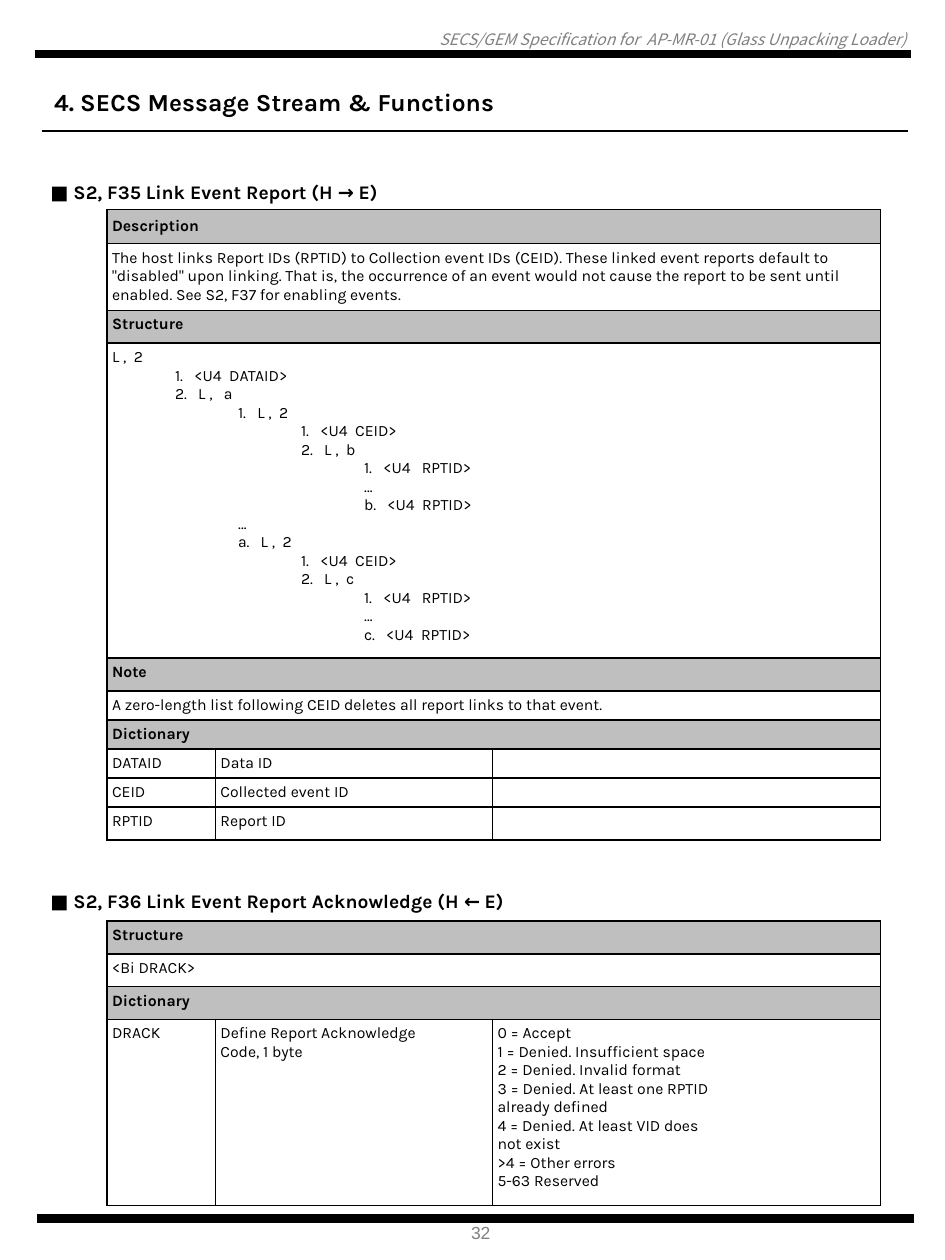
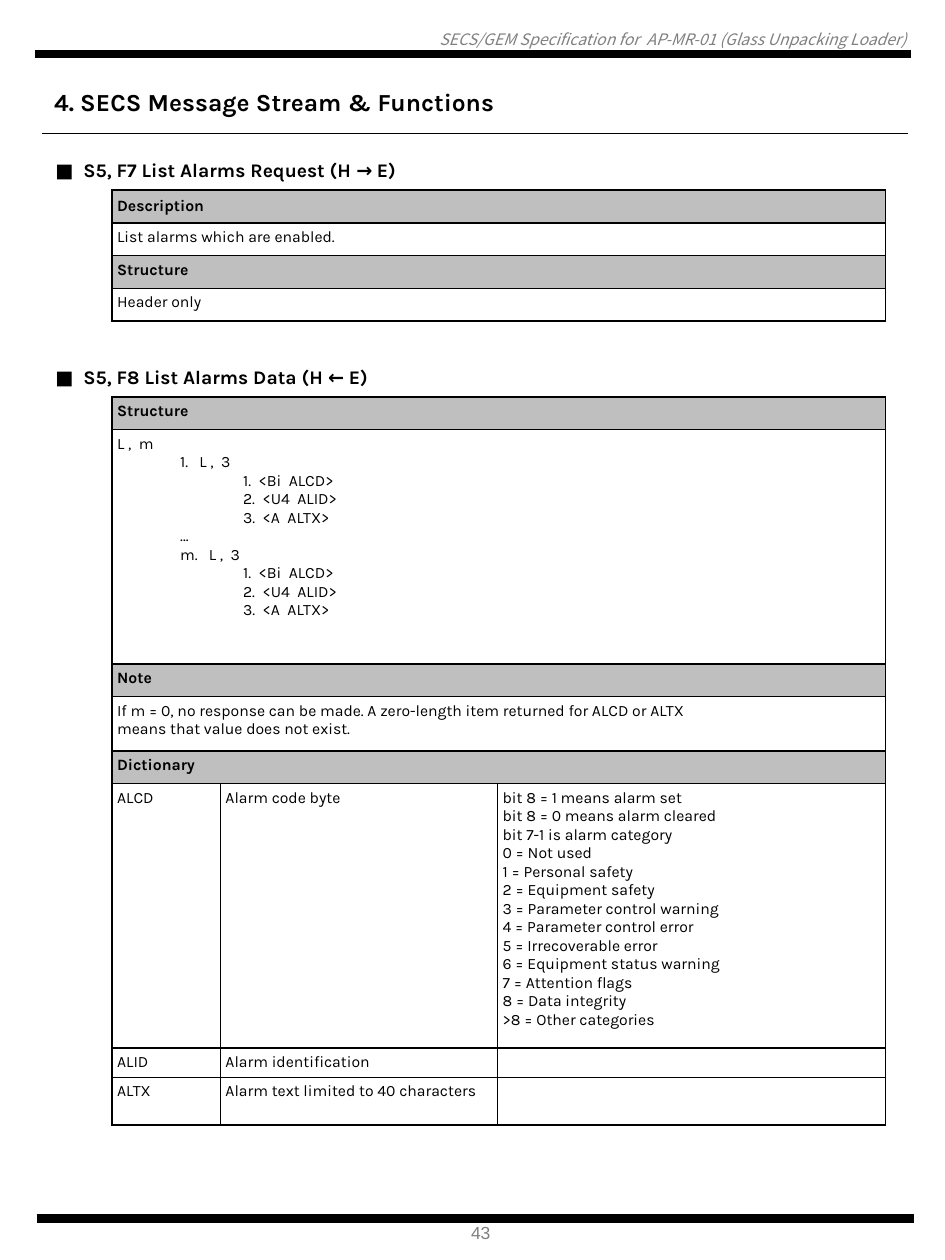
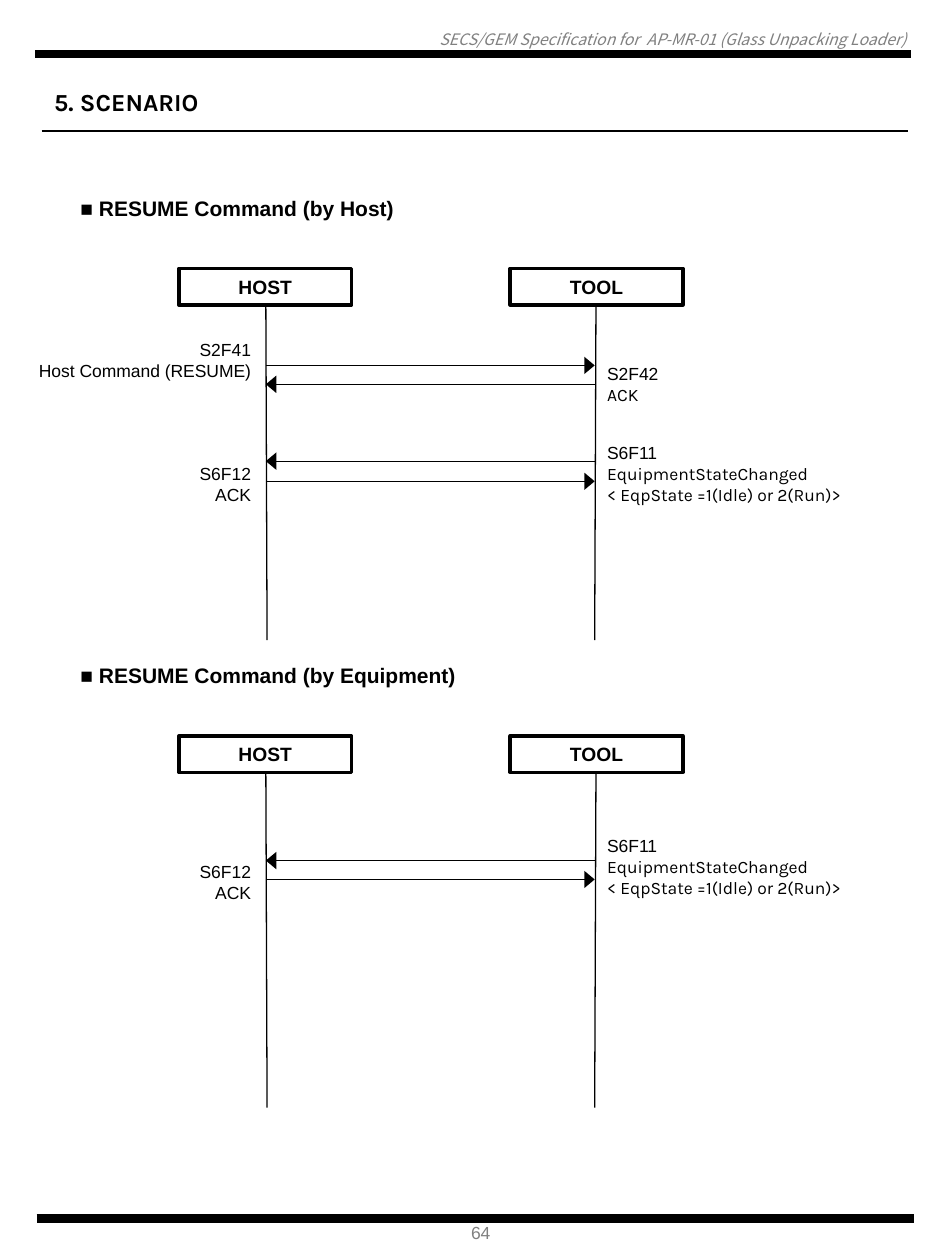
from lxml import etree
from pptx import Presentation
from pptx import util as u
from pptx.dml.color import RGBColor
from pptx.enum import shapes, text
from pptx.oxml.ns import qn

# Shared look
BLACK, GREY, BAND, WHITE = "000000", "808080", "BFBFBF", "FFFFFF"
HEADER = "SECS/GEM Specification for  AP-MR-01 (Glass Unpacking Loader)"
PLAIN = "{2D5ABB26-0587-4C30-8999-92F81FD0307C}"
TOP, MID = text.MSO_ANCHOR.TOP, text.MSO_ANCHOR.MIDDLE
LEFT, CENTER, RIGHT = text.PP_ALIGN.LEFT, text.PP_ALIGN.CENTER, text.PP_ALIGN.RIGHT
BANDS = ("Description", "Structure", "Note", "Dictionary")
WIDE, SLIM = (0.49, 0.86, 2.2, 3.08), (0.49, 6.14)

# Message tables: rows are (height, cell, ...), a lone cell fills the row
LINK = [
    (0.27, "Description"),
    (0.53, "The host links Report IDs (RPTID) to Collection event IDs (CEID). "
           "These linked event reports default to \"disabled\" upon linking. "
           "That is, the occurrence of an event would not cause the report to be "
           "sent until enabled. See S2, F37 for enabling events."),
    (0.26, "Structure"),
    (2.5, """L ,  2
\t1.   <U4  DATAID>
\t2.   L ,   a
\t\t1.   L ,  2
\t\t\t1.   <U4  CEID>
\t\t\t2.   L ,  b
\t\t\t\t1.   <U4   RPTID>
\t\t\t\t…
\t\t\t\tb.   <U4  RPTID>
\t\t…
\t\ta.   L ,  2
\t\t\t1.   <U4  CEID>
\t\t\t2.   L ,  c
\t\t\t\t1.   <U4   RPTID>
\t\t\t\t…
\t\t\t\tc.   <U4  RPTID>"""),
    (0.26, "Note"),
    (0.23, "A zero-length list following CEID deletes all report links to that event."),
    (0.23, "Dictionary"),
    (0.23, "DATAID", "Data ID", ""),
    (0.23, "CEID", "Collected event ID", ""),
    (0.26, "RPTID", "Report ID", ""),
]
LINK_ACK = [
    (0.26, "Structure"),
    (0.26, "<Bi DRACK>"),
    (0.26, "Dictionary"),
    (1.48, "DRACK", "Define Report Acknowledge\nCode, 1 byte", """0 = Accept
1 = Denied. Insufficient space
2 = Denied. Invalid format
3 = Denied. At least one RPTID
already defined
4 = Denied. At least VID does
not exist
>4 = Other errors
5-63 Reserved"""),
]
ALARM_ASK = [
    (0.26, "Description"),
    (0.26, "List alarms which are enabled."),
    (0.26, "Structure"),
    (0.26, "Header only"),
]
ALARM_DATA = [
    (0.26, "Structure"),
    (1.86, """L ,  m
\t1.   L ,  3
\t\t1.  <Bi  ALCD>
\t\t2.  <U4  ALID>
\t\t3.  <A  ALTX>
\t…
\tm.   L ,  3
\t\t1.  <Bi  ALCD>
\t\t2.  <U4  ALID>
\t\t3.  <A  ALTX>"""),
    (0.26, "Note"),
    (0.43, "If m = 0, no response can be made. A zero-length item returned for "
           "ALCD or ALTX\nmeans that value does not exist."),
    (0.26, "Dictionary"),
    (2.1, "ALCD", "Alarm code byte", """bit 8 = 1 means alarm set
bit 8 = 0 means alarm cleared
bit 7-1 is alarm category
0 = Not used
1 = Personal safety
2 = Equipment safety
3 = Parameter control warning
4 = Parameter control error
5 = Irrecoverable error
6 = Equipment status warning
7 = Attention flags
8 = Data integrity
>8 = Other categories"""),
    (0.23, "ALID", "Alarm identification", ""),
    (0.38, "ALTX", "Alarm text limited to 40 characters", ""),
]
# left, top, heading, heading height, columns, merged gutter rows, rows
LINK_PAGE = [
    (0.36, 1.4, "■ S2, F35 Link Event Report (H → E)", 0.25, WIDE, (6, 9), LINK),
    (0.36, 7.01, "■ S2, F36 Link Event Report Acknowledge (H ← E)", 0.3, WIDE, (3, 4), LINK_ACK),
]
ALARM_PAGE = [
    (0.4, 1.21, "■  S5, F7 List Alarms Request (H → E)", 0.3, SLIM, None, ALARM_ASK),
    (0.4, 2.85, "■  S5, F8 List Alarms Data (H ← E)", 0.3, WIDE, (4, 7), ALARM_DATA),
]

# Scenarios: heights are measured from the top of each heading
STATE = "S6F11\nEquipmentStateChanged\n< EqpState =1(Idle) or 2(Run)>"
FLOWS = [
    dict(top=1.5, head="■ RESUME Command (by Host)",
         calls=[(1.4, "HOST"), (1.55, "TOOL"), (2.16, "TOOL"), (2.32, "HOST")],
         notes=[("HOST", 1.14, "S2F41\nHost Command (RESUME)"), ("TOOL", 1.33, "S2F42\nACK"),
                ("HOST", 2.12, "S6F12\nACK"), ("TOOL", 1.95, STATE)]),
    dict(top=5.21, head="■ RESUME Command (by Equipment)",
         calls=[(1.62, "TOOL"), (1.77, "HOST")],
         notes=[("HOST", 1.57, "S6F12\nACK"), ("TOOL", 1.36, STATE)]),
]
ACTORS = {"HOST": (1.42, 2.11, 2.12), "TOOL": (4.05, 4.73, 4.72)}  # box, line top, line end


def rgb(code):
    return RGBColor.from_string(code)


def write(frame, words, size, face="Arial", color=BLACK, align=LEFT, rest=None, **more):
    """Fill a frame; lines after the first may take another face."""
    for i, line in enumerate(words.split("\n")):
        para = frame.paragraphs[0] if i == 0 else frame.add_paragraph()
        para.alignment = align
        run = para.add_run()
        run.text = line
        look = dict(size=u.Pt(size), name=rest if i and rest else face, **more)
        for key, val in look.items():
            setattr(run.font, key, val)
        run.font.color.rgb = rgb(color)


def box(slide, at, words, size, wrap=True, anchor=TOP, inset=None, **look):
    frame = slide.shapes.add_textbox(*map(u.Inches, at)).text_frame
    frame.word_wrap, frame.vertical_anchor = wrap, anchor
    if inset is not None:
        pad(frame, inset)
    write(frame, words, size, **look)


def pad(item, inset):
    for side in ("left", "right", "top", "bottom"):
        setattr(item, "margin_" + side, u.Inches(inset))


def rule(slide, x1, y1, x2, y2, width, arrow=False):
    line = slide.shapes.add_connector(shapes.MSO_CONNECTOR.STRAIGHT,
                                      *map(u.Inches, (x1, y1, x2, y2)))
    line.line.color.rgb, line.line.width = rgb(BLACK), u.Pt(width)
    if arrow:
        etree.SubElement(line.line._get_or_add_ln(), qn("a:tailEnd"),
                         type="triangle", w="lg", len="med")
    etree.SubElement(line._element.spPr, qn("a:effectLst"))


def page(deck, title, number, under):
    """Start a slide with its header, bars, title and page number."""
    slide = deck.slides.add_slide(deck.slide_layouts[5])
    box(slide, (0.05, 0.24, 7.14, 0.15), HEADER, 9, inset=0,
        face="Noto Sans CJK KR", color=GREY, align=RIGHT, italic=True)
    rule(slide, 0.28, 0.43, 7.23, 0.43, 4.75)
    rule(slide, 0.29, 9.67, 7.25, 9.67, 4.75)
    box(slide, (3.64, 9.65, 0.37, 0.27), str(number), 10, wrap=False, color=GREY)
    name = slide.shapes.title
    name.left, name.top, name.width, name.height = map(u.Inches, (0.33, 0.64, 3.86, 0.34))
    frame = name.text_frame
    frame.word_wrap, frame.vertical_anchor = False, TOP
    frame.auto_size = text.MSO_AUTO_SIZE.NONE
    write(frame, title, 14, "Karla", bold=True)
    rule(slide, 0.33, under, 7.21, under, 0.75)
    return slide


def frame_cell(cell):
    """Black border all round; the lines go before the fill."""
    props = cell._tc.get_or_add_tcPr()
    for i, tag in enumerate(("a:lnL", "a:lnR", "a:lnT", "a:lnB")):
        line = etree.Element(qn(tag), w=str(u.Pt(1)))
        fill = etree.SubElement(line, qn("a:solidFill"))
        etree.SubElement(fill, qn("a:srgbClr"), val=BLACK)
        props.insert(i, line)


def message(slide, left, top, head, tall, cols, gutter, rows):
    """One message table: heading row, empty gutter column, framed body."""
    heights = [tall] + [row[0] for row in rows]
    size = (left, top, sum(cols), sum(heights))
    grid = slide.shapes.add_table(len(heights), len(cols), *map(u.Inches, size)).table
    grid._tbl.tblPr.find(qn("a:tableStyleId")).text = PLAIN
    grid.first_row = grid.horz_banding = False
    for col, width in zip(grid.columns, cols):
        col.width = u.Inches(width)
    for row, height in zip(grid.rows, heights):
        row.height = u.Inches(height)

    last = len(cols) - 1
    filled = {(0, 0): head}
    grid.cell(0, 0).merge(grid.cell(0, last))
    for r, (_, *cells) in enumerate(rows, 1):
        filled.update({(r, c): words for c, words in enumerate(cells, 1)})
        if len(cells) == 1 and last > 1:
            grid.cell(r, 1).merge(grid.cell(r, last))
    if gutter:
        grid.cell(gutter[0], 0).merge(grid.cell(gutter[1], 0))

    for r in range(len(heights)):
        for c in range(len(cols)):
            cell, words = grid.cell(r, c), filled.get((r, c))
            band = words in BANDS
            pad(cell, 0.04)
            cell.vertical_anchor = MID if r == 0 or words == "Description" else TOP
            cell.fill.solid()
            cell.fill.fore_color.rgb = rgb(BAND if band else WHITE)
            if r and c:
                frame_cell(cell)
            if words:
                write(cell.text_frame, words, 9 if r else 11, "Karla", bold=band or r == 0)
            else:
                para = cell.text_frame.paragraphs[0]
                etree.SubElement(para._p, qn("a:endParaRPr"), sz="900")


def flow(slide, top, head, calls, notes):
    """One sequence chart: actors, lifelines, calls and labels."""
    box(slide, (0.54, top, 6.75, 0.3), head, 12, bold=True)
    for name, (left, start, end) in ACTORS.items():
        rule(slide, start, top + 0.92, end, top + 3.58, 0.75)
        actor = slide.shapes.add_shape(shapes.MSO_SHAPE.RECTANGLE,
                                       *map(u.Inches, (left, top + 0.63, 1.37, 0.29)))
        actor.shadow.inherit = False
        actor.fill.background()
        actor.line.color.rgb, actor.line.width = rgb(BLACK), u.Pt(2)
        actor.text_frame.vertical_anchor = MID
        write(actor.text_frame, name, 11, align=CENTER, bold=True)
    for drop, sender in calls:
        ends = (2.11, 4.72) if sender == "HOST" else (4.72, 2.11)
        rule(slide, ends[0], top + drop, ends[1], top + drop, 0.5, arrow=True)
    for side, drop, words in notes:
        host = side == "HOST"
        tall = 0.1 + 0.17 * len(words.split("\n"))
        at = (-0.01, top + drop, 2.1, tall) if host else (4.72, top + drop, 2.26, tall)
        box(slide, at, words, 10, anchor=MID, align=RIGHT if host else LEFT,
            rest=None if host else "Karla")


def main():
    deck = Presentation()
    deck.slide_width, deck.slide_height = u.Inches(7.5), u.Inches(10)
    stream = "4. SECS Message Stream & Functions"
    for number, under, tables in ((32, 1.04, LINK_PAGE), (43, 1.06, ALARM_PAGE)):
        slide = page(deck, stream, number, under)
        for table in tables:
            message(slide, *table)
    slide = page(deck, "5. SCENARIO", 64, 1.04)
    for item in FLOWS:
        flow(slide, **item)
    deck.save("out.pptx")


if __name__ == "__main__":
    main()
